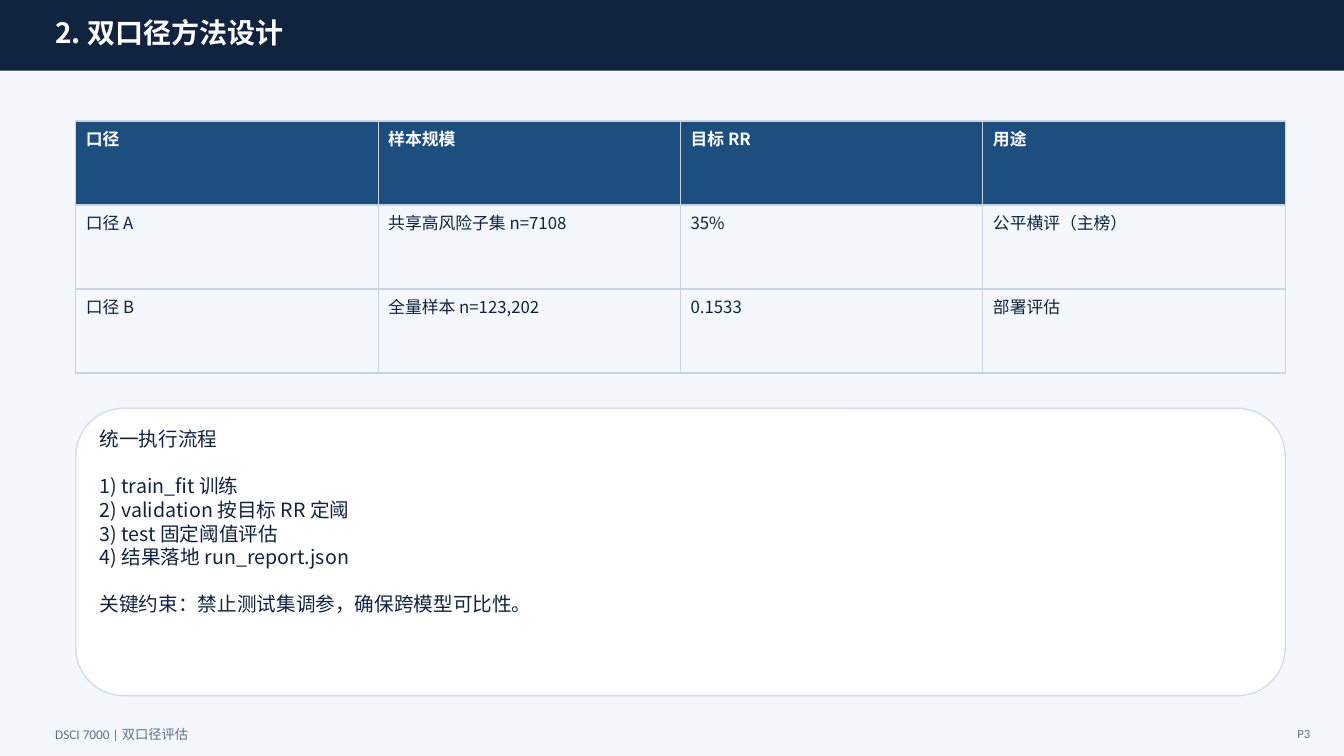
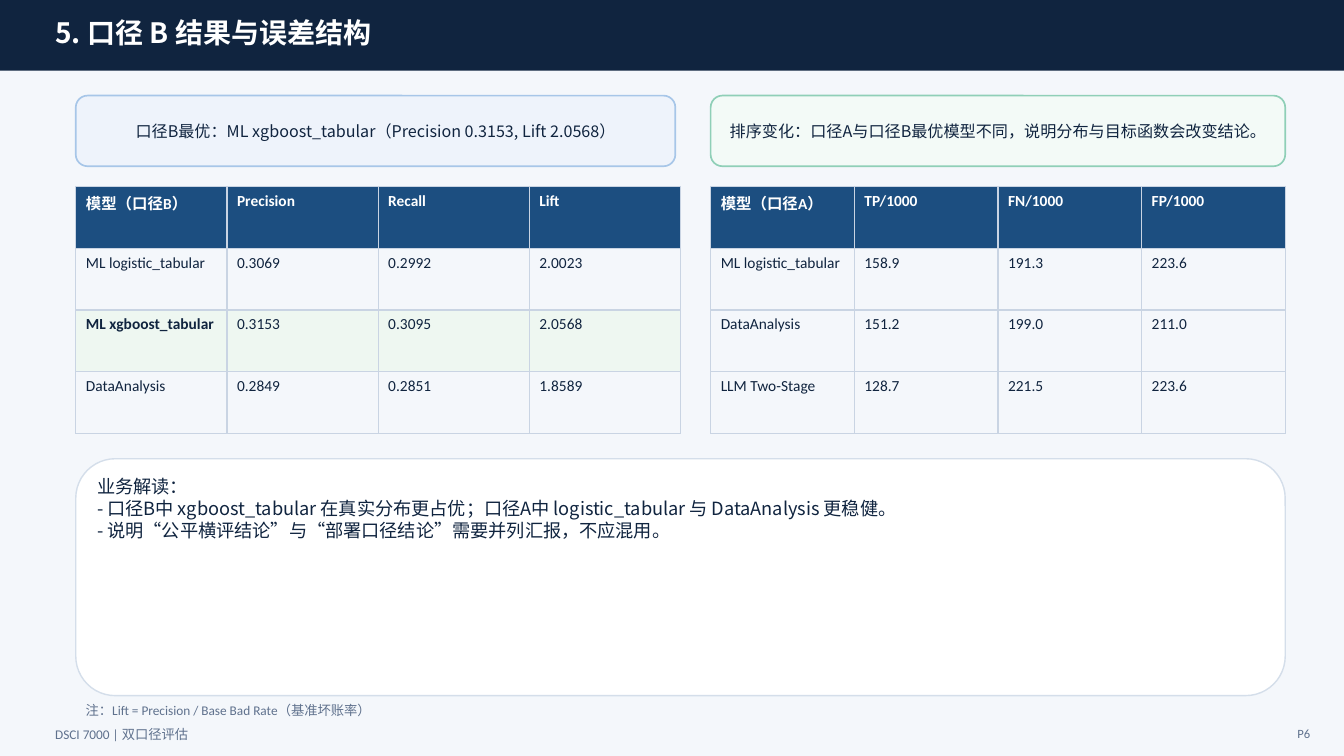
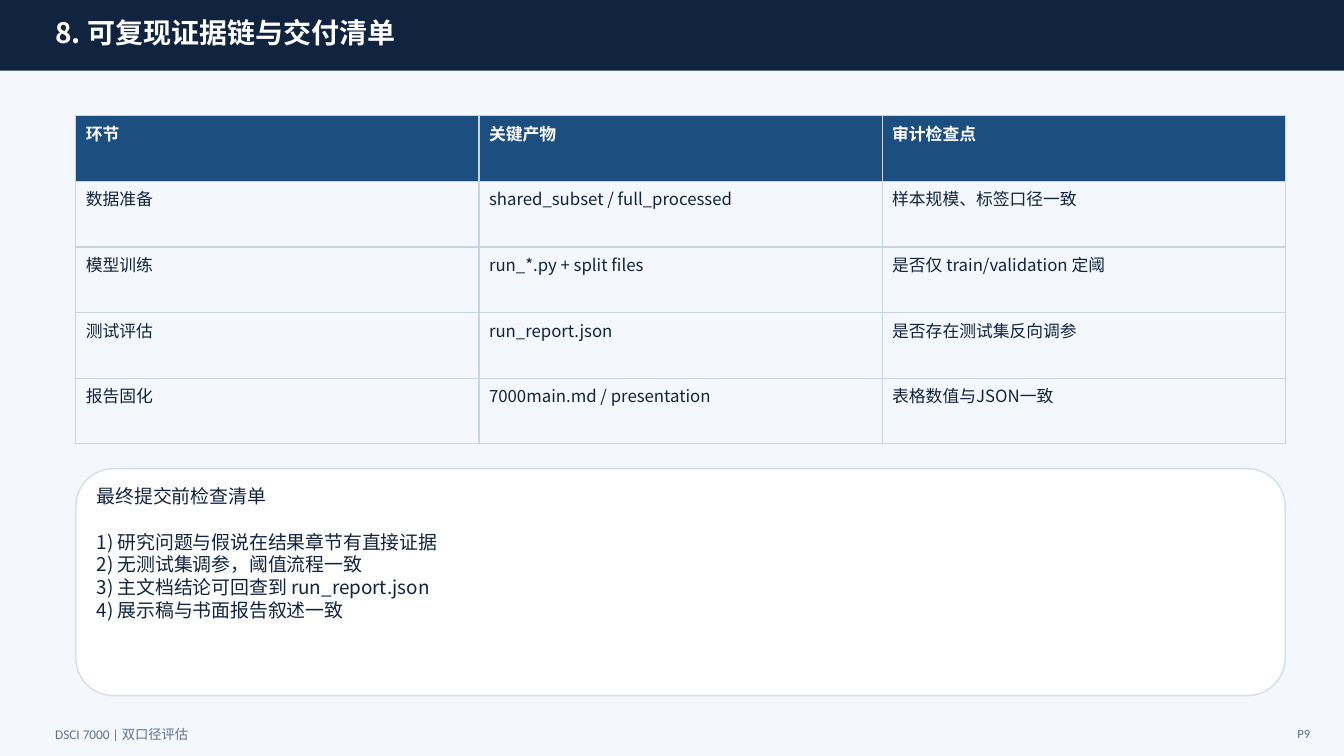
from lxml.etree import SubElement, Element
from pptx import Presentation
from pptx.dml.color import RGBColor
from pptx.enum.shapes import MSO_SHAPE as Preset
from pptx.enum.text import MSO_ANCHOR as Anchor, MSO_AUTO_SIZE as AutoSize, PP_ALIGN as Align
from pptx.oxml.ns import qn
from pptx.util import Cm, Pt

# Colours
NAVY = RGBColor(0x10, 0x24, 0x3F)
BLUE = RGBColor(0x1C, 0x4E, 0x80)
WHITE = RGBColor(0xFF, 0xFF, 0xFF)
PAPER = RGBColor(0xF4, 0xF7, 0xFB)
GREY = RGBColor(0x5F, 0x71, 0x8D)
GRID = RGBColor(0xC9, 0xD4, 0xE3)
CARD_LINE = RGBColor(0xD4, 0xDE, 0xEA)
HIGHLIGHT = RGBColor(0xEE, 0xF7, 0xF1)
BLUE_FILL = RGBColor(0xEE, 0xF3, 0xFB)
BLUE_LINE = RGBColor(0xA7, 0xC6, 0xE8)
GREEN_FILL = RGBColor(0xF3, 0xFA, 0xF7)
GREEN_LINE = RGBColor(0x8F, 0xCF, 0xB7)

# Fonts and measures (cm)
HAN, LATIN = "Noto Sans CJK SC", "Calibri"
SLIDE_WIDTH, SLIDE_HEIGHT = 33.87, 19.05
LEFT, CONTENT_WIDTH = 1.91, 30.48
RIGHT_LEFT, RIGHT_WIDTH = 17.91, 14.48
EDGE, FOOTER_TOP, SMALL_HEIGHT = 1.14, 18.24, 0.51
CARD_BOTTOM = 17.53
LINE_FACTOR = 1.2

# Text formats
TITLE = {"name": HAN, "size": Pt(20), "bold": True, "color": WHITE}
BODY = {"name": HAN, "size": Pt(12), "bold": False, "color": NAVY}
CALLOUT = {**BODY, "size": Pt(11.5)}
DATA = {**BODY, "name": LATIN, "size": Pt(11)}
FOOTER = {"name": LATIN, "size": Pt(9.5), "bold": False, "color": GREY}
PAGE = {**FOOTER, "size": Pt(9)}


class Deck:
    def __init__(self):
        self.presentation = Presentation()
        self.presentation.slide_width = Cm(SLIDE_WIDTH)
        self.presentation.slide_height = Cm(SLIDE_HEIGHT)
        background = self.presentation.slide_master.background.fill
        background.solid()
        background.fore_color.rgb = PAPER
        self.slide = None

    def add_text(self, paragraph, text, style, align=Align.LEFT):
        paragraph.alignment = align
        run = paragraph.add_run()
        run.text = text
        for key, value in style.items():
            if key == "color":
                run.font.color.rgb = value
            else:
                setattr(run.font, key, value)

    def frame(self, shape, anchor):
        frame = shape.text_frame
        settings = {"word_wrap": True, "auto_size": AutoSize.NONE, "vertical_anchor": anchor}
        for key, value in settings.items():
            setattr(frame, key, value)
        return frame

    def new_slide(self, title, page):
        """Start a slide with its band, title and footer."""
        self.slide = self.presentation.slides.add_slide(self.presentation.slide_layouts[5])
        placeholder = self.slide.shapes.title
        box = {"left": EDGE, "top": 0.38, "width": 27.94, "height": 0.86}
        for key, value in box.items():
            setattr(placeholder, key, Cm(value))
        self.add_text(self.frame(placeholder, Anchor.MIDDLE).paragraphs[0], title, TITLE)
        band = self.shape(Preset.RECTANGLE, 0, 0, SLIDE_WIDTH, 1.78, NAVY)
        placeholder.element.addprevious(band.element)
        self.label(30.73, FOOTER_TOP, 2.54, page, PAGE, Align.RIGHT)
        self.label(EDGE, FOOTER_TOP, 9.65, "DSCI 7000 | 双口径评估", FOOTER)

    def shape(self, preset, left, top, width, height, fill, line=None, weight=1):
        shape = self.slide.shapes.add_shape(preset, Cm(left), Cm(top), Cm(width), Cm(height))
        shape.shadow.inherit = False
        shape.fill.solid()
        shape.fill.fore_color.rgb = fill
        if line is None:
            shape.line.fill.background()
        else:
            shape.line.color.rgb = line
            shape.line.width = Pt(weight)
        return shape

    def label(self, left, top, width, text, style, align=Align.LEFT):
        box = self.slide.shapes.add_textbox(Cm(left), Cm(top), Cm(width), Cm(SMALL_HEIGHT))
        self.add_text(self.frame(box, Anchor.MIDDLE).paragraphs[0], text, style, align)

    def callout(self, left, width, text, fill, line):
        box = self.shape(Preset.ROUNDED_RECTANGLE, left, 2.41, width, 1.78, fill, line, 1.2)
        self.add_text(self.frame(box, Anchor.MIDDLE).paragraphs[0], text, CALLOUT, Align.CENTER)

    def card(self, top, size, groups):
        """White card; the groups of lines stand one line apart."""
        card = self.shape(Preset.ROUNDED_RECTANGLE, LEFT, top, CONTENT_WIDTH,
                          CARD_BOTTOM - top, WHITE, CARD_LINE)
        frame = self.frame(card, Anchor.TOP)
        pitch = Pt(size * LINE_FACTOR)
        paragraph = frame.paragraphs[0]
        for group_index, lines in enumerate(groups):
            for line_index, text in enumerate(lines):
                if group_index or line_index:
                    paragraph = frame.add_paragraph()
                paragraph.line_spacing = pitch
                paragraph.space_before = pitch if group_index and not line_index else Pt(0)
                self.add_text(paragraph, text, {**BODY, "size": Pt(size)})

    def table(self, left, top, width, height, rows, style=BODY, best=None):
        """Grid of equal cells; best is the index of a highlighted row."""
        row_count, column_count = len(rows), len(rows[0])
        table = self.slide.shapes.add_table(row_count, column_count, Cm(left), Cm(top),
                                            Cm(width), Cm(height)).table
        table.first_row = table.horz_banding = False
        for column in table.columns:
            column.width = Cm(width / column_count)
        for row_index, (row, texts) in enumerate(zip(table.rows, rows)):
            row.height = Cm(height / row_count)
            header = row_index == 0
            fill = BLUE if header else HIGHLIGHT if row_index == best else None
            for column_index, (cell, text) in enumerate(zip(row.cells, texts)):
                bold = header or (row_index == best and column_index == 0)
                self.add_text(cell.text_frame.paragraphs[0], text,
                              {**style, "bold": bold, "color": WHITE if header else NAVY})
                if fill is None:
                    cell.fill.background()
                else:
                    cell.fill.solid()
                    cell.fill.fore_color.rgb = fill
                self.borders(cell)

    def borders(self, cell):
        properties = cell._tc.get_or_add_tcPr()
        for position, side in enumerate(("a:lnL", "a:lnR", "a:lnT", "a:lnB")):
            line = Element(qn(side), w=str(Pt(1)))
            solid = SubElement(line, qn("a:solidFill"))
            SubElement(solid, qn("a:srgbClr"), val=str(GRID))
            properties.insert(position, line)


def main():
    deck = Deck()

    # Method
    deck.new_slide("2. 双口径方法设计", "P3")
    deck.table(LEFT, 3.05, CONTENT_WIDTH, 6.35, [
        ("口径", "样本规模", "目标 RR", "用途"),
        ("口径 A", "共享高风险子集 n=7108", "35%", "公平横评（主榜）"),
        ("口径 B", "全量样本 n=123,202", "0.1533", "部署评估"),
    ])
    deck.card(10.29, 14, [
        ["统一执行流程"],
        ["1) train_fit 训练", "2) validation 按目标 RR 定阈",
         "3) test 固定阈值评估", "4) 结果落地 run_report.json"],
        ["关键约束：禁止测试集调参，确保跨模型可比性。"],
    ])

    # Results
    deck.new_slide("5. 口径 B 结果与误差结构", "P6")
    deck.callout(LEFT, 15.11, "口径B最优：ML xgboost_tabular（Precision 0.3153, Lift 2.0568）",
                 BLUE_FILL, BLUE_LINE)
    deck.callout(RIGHT_LEFT, RIGHT_WIDTH,
                 "排序变化：口径A与口径B最优模型不同，说明分布与目标函数会改变结论。",
                 GREEN_FILL, GREEN_LINE)
    deck.table(LEFT, 4.7, 15.24, 6.22, [
        ("模型（口径B）", "Precision", "Recall", "Lift"),
        ("ML logistic_tabular", "0.3069", "0.2992", "2.0023"),
        ("ML xgboost_tabular", "0.3153", "0.3095", "2.0568"),
        ("DataAnalysis", "0.2849", "0.2851", "1.8589"),
    ], DATA, best=2)
    deck.table(RIGHT_LEFT, 4.7, RIGHT_WIDTH, 6.22, [
        ("模型（口径A）", "TP/1000", "FN/1000", "FP/1000"),
        ("ML logistic_tabular", "158.9", "191.3", "223.6"),
        ("DataAnalysis", "151.2", "199.0", "211.0"),
        ("LLM Two-Stage", "128.7", "221.5", "223.6"),
    ], DATA)
    deck.card(11.56, 13, [[
        "业务解读：",
        "- 口径B中 xgboost_tabular 在真实分布更占优；口径A中 logistic_tabular 与 DataAnalysis 更稳健。",
        "- 说明“公平横评结论”与“部署口径结论”需要并列汇报，不应混用。",
    ]])
    deck.label(LEFT, 17.65, 17.27, "注：Lift = Precision / Base Bad Rate（基准坏账率）", FOOTER)

    # Deliverables
    deck.new_slide("8. 可复现证据链与交付清单", "P9")
    deck.table(LEFT, 2.92, CONTENT_WIDTH, 8.26, [
        ("环节", "关键产物", "审计检查点"),
        ("数据准备", "shared_subset / full_processed", "样本规模、标签口径一致"),
        ("模型训练", "run_*.py + split files", "是否仅 train/validation 定阈"),
        ("测试评估", "run_report.json", "是否存在测试集反向调参"),
        ("报告固化", "7000main.md / presentation", "表格数值与JSON一致"),
    ])
    deck.card(11.81, 13.5, [
        ["最终提交前检查清单"],
        ["1) 研究问题与假说在结果章节有直接证据", "2) 无测试集调参，阈值流程一致",
         "3) 主文档结论可回查到 run_report.json", "4) 展示稿与书面报告叙述一致"],
    ])

    deck.presentation.save("out.pptx")


if __name__ == "__main__":
    main()
